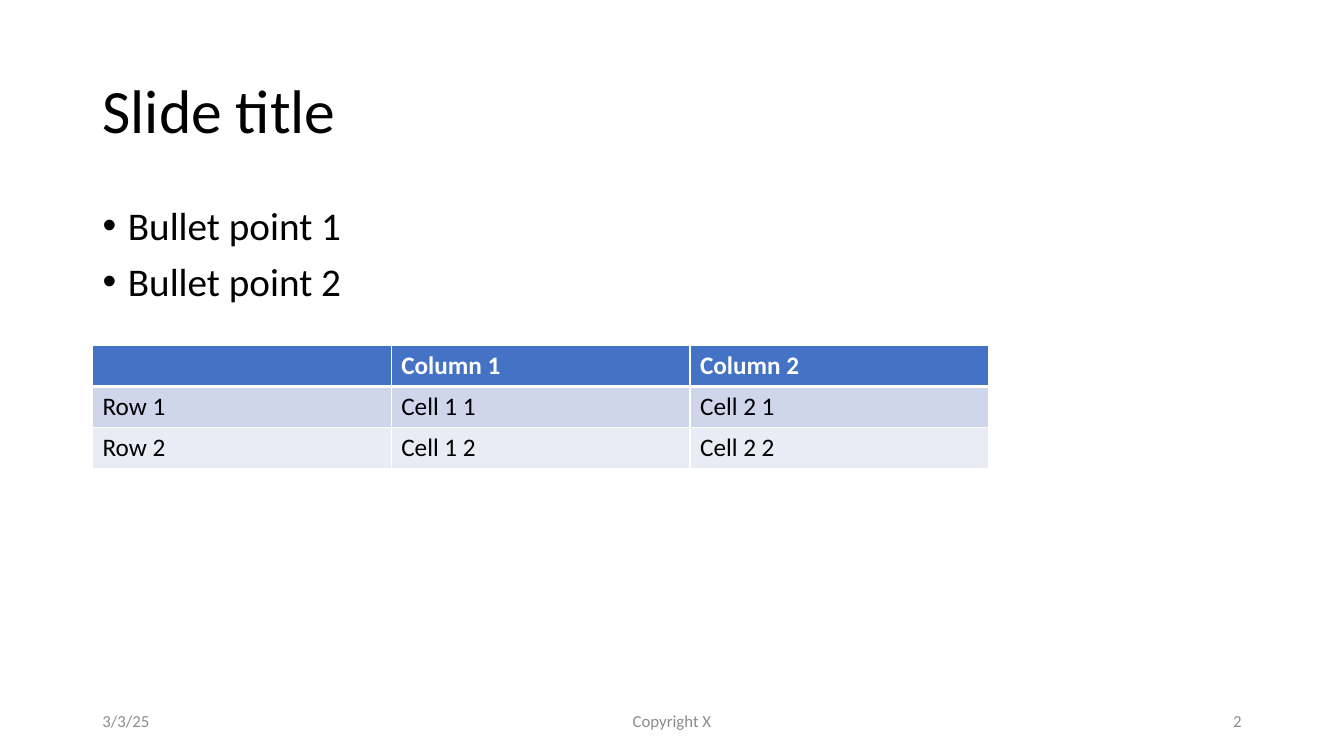
from lxml.etree import SubElement as Sub
from pptx import Presentation
from pptx.dml.color import RGBColor as RGB
from pptx.enum.text import MSO_ANCHOR as Anchor, MSO_AUTO_SIZE as Auto, PP_ALIGN as Align
from pptx.oxml.ns import qn
from pptx.util import Cm, Pt

FONT = "Calibri"
BLACK = RGB(0, 0, 0)
WHITE = RGB(255, 255, 255)
GREY = RGB(0x8C, 0x8C, 0x8C)
BLUE = RGB(0x44, 0x72, 0xC4)
BANDS = [RGB(0xCF, 0xD5, 0xEA), RGB(0xE9, 0xEB, 0xF5)]

LEFT = 2.33
WIDTH = 29.21
ROWS = [
    ["", "Column 1", "Column 2"],
    ["Row 1", "Cell 1 1", "Cell 2 1"],
    ["Row 2", "Cell 1 2", "Cell 2 2"],
]
FOOTER = [
    ("3/3/25", LEFT, 7.62, Align.LEFT),
    ("Copyright X", 11.22, 11.43, Align.CENTER),
    ("2", 23.92, 7.62, Align.RIGHT),
]


def style(para, size, color, bold=False):
    for run in para.runs:
        font = run.font
        font.name = FONT
        font.size = Pt(size)
        font.bold = bold
        font.color.rgb = color


def place(shape, top, height):
    shape.left, shape.top = Cm(LEFT), Cm(top)
    shape.width, shape.height = Cm(WIDTH), Cm(height)
    shape.text_frame.auto_size = Auto.NONE


def add_title(slide, text):
    title = slide.shapes.title
    place(title, 1.01, 3.68)
    frame = title.text_frame
    frame.text = text
    frame.vertical_anchor = Anchor.MIDDLE
    para = frame.paragraphs[0]
    para.alignment = Align.LEFT
    para.line_spacing = 0.9
    style(para, 44, BLACK)


def add_list(slide, items):
    body = slide.placeholders[1]
    place(body, 5.07, 12.09)
    frame = body.text_frame
    frame.text = "\n".join(items)
    for para in frame.paragraphs:
        para.line_spacing = 0.9
        para.space_before = Pt(10)
        props = para._p.get_or_add_pPr()
        props.set("marL", str(Cm(0.64)))
        props.set("indent", str(Cm(-0.64)))
        style(para, 28, BLACK)


def add_edge(cell, side, width):
    props = cell._tc.get_or_add_tcPr()
    line = Sub(props, qn(f"a:ln{side}"), w=str(Pt(width)))
    fill = Sub(line, qn("a:solidFill"))
    Sub(fill, qn("a:srgbClr"), val=str(WHITE))


def fill_cell(cell, text, row):
    head = row == 0
    edges = {"L": 1, "R": 1, "T": 3 if row == 1 else 1, "B": 3 if head else 1}
    for side, width in edges.items():
        add_edge(cell, side, width)
    cell.fill.solid()
    cell.fill.fore_color.rgb = BLUE if head else BANDS[(row - 1) % 2]
    cell.text_frame.text = text
    style(cell.text_frame.paragraphs[0], 18, WHITE if head else BLACK, head)


def add_grid(slide, rows):
    count = len(rows[0])
    table = slide.shapes.add_table(
        len(rows), count, Cm(LEFT), Cm(8.71), Cm(7.53 * count), Cm(1.03 * len(rows))
    ).table
    for row, texts in enumerate(rows):
        for col, text in enumerate(texts):
            fill_cell(table.cell(row, col), text, row)


def add_note(slide, text, left, width, align):
    box = slide.shapes.add_textbox(Cm(left), Cm(17.65), Cm(width), Cm(1.01))
    frame = box.text_frame
    frame.word_wrap = True
    frame.vertical_anchor = Anchor.MIDDLE
    frame.text = text
    para = frame.paragraphs[0]
    para.alignment = align
    style(para, 12, GREY)


def main():
    deck = Presentation()
    deck.slide_width, deck.slide_height = Cm(33.87), Cm(19.05)
    slide = deck.slides.add_slide(deck.slide_layouts[1])
    add_title(slide, "Slide title")
    add_list(slide, ["Bullet point 1", "Bullet point 2"])
    add_grid(slide, ROWS)
    for note in FOOTER:
        add_note(slide, *note)
    deck.save("out.pptx")


if __name__ == "__main__":
    main()
